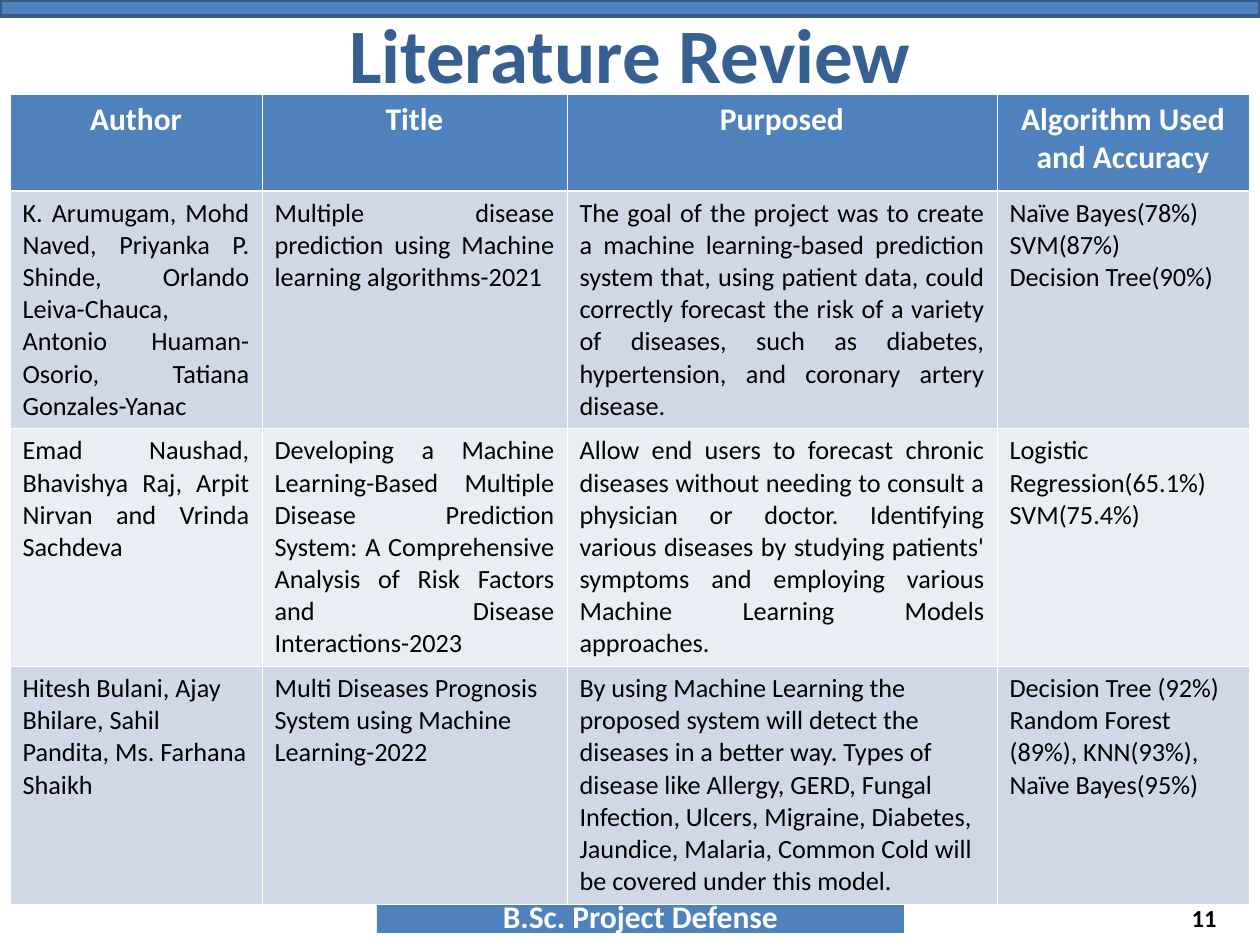
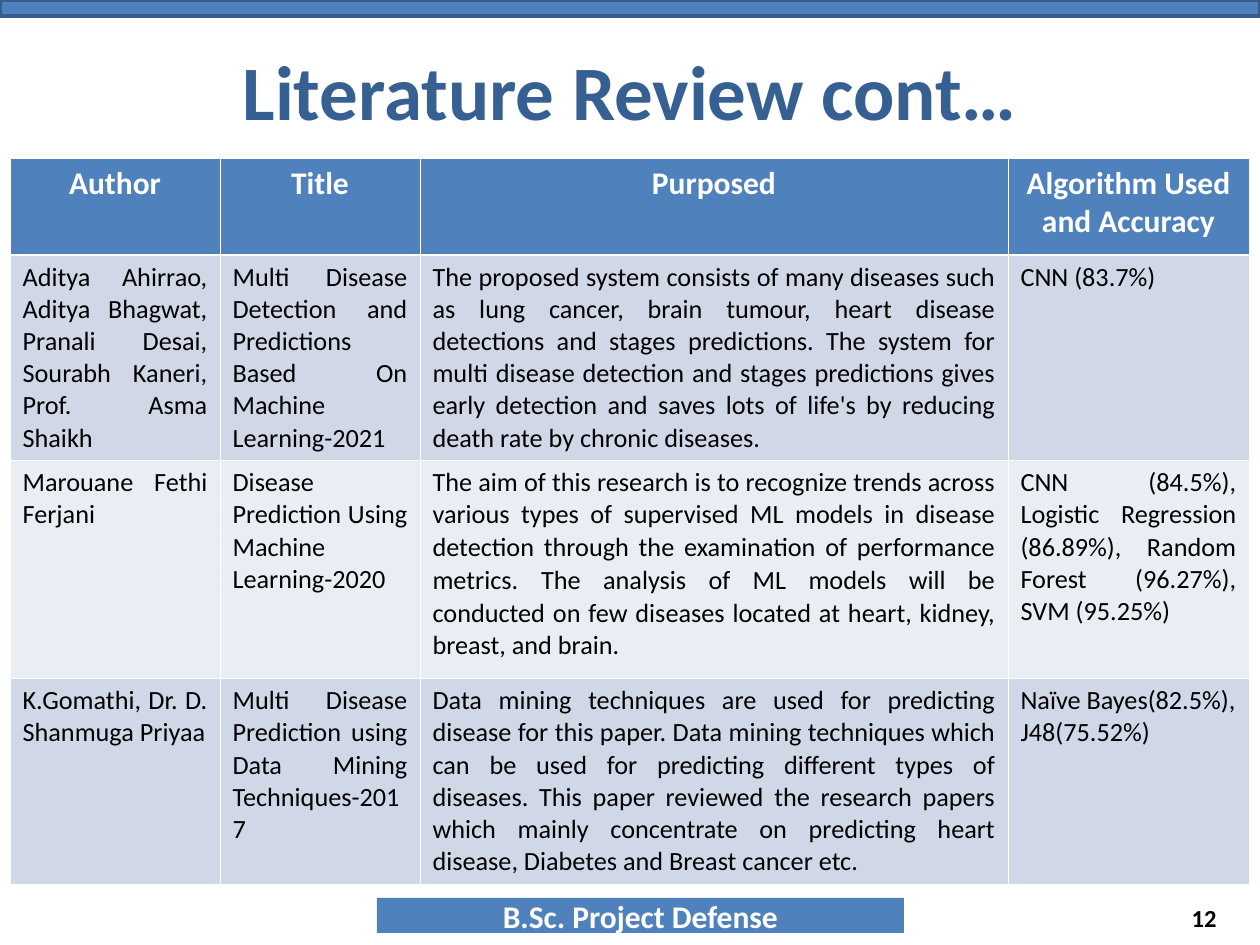
"""Build two literature review slides with shared bands, footers and tables."""
from lxml import etree
from pptx import Presentation
from pptx import util as u
from pptx.dml.color import RGBColor
from pptx.enum import shapes, text
from pptx.oxml.ns import qn

BLUE = RGBColor(0x4F, 0x81, 0xBD)
BAND_EDGE = RGBColor(0x38, 0x5D, 0x8A)
TITLE_BLUE = RGBColor(0x37, 0x60, 0x92)
WHITE = RGBColor(0xFF, 0xFF, 0xFF)
BLACK = RGBColor(0, 0, 0)
ROW_FILLS = [RGBColor(0xE9, 0xED, 0xF4), RGBColor(0xD0, 0xD8, 0xE8)]
LEFT, CENTER, RIGHT, JUSTIFY = (
    text.PP_ALIGN.LEFT, text.PP_ALIGN.CENTER, text.PP_ALIGN.RIGHT, text.PP_ALIGN.JUSTIFY)
FRAME = {"word_wrap": True, "auto_size": text.MSO_AUTO_SIZE.NONE,
         "vertical_anchor": text.MSO_ANCHOR.MIDDLE}
SCALE = u.Inches(1) / 126
TABLE_LEFT = 10
HEADINGS = ["Author", "Title", "Purposed", "Algorithm Used and Accuracy"]


def px(*lengths):
    """Turn pixel lengths into EMU."""
    return [u.Emu(round(length * SCALE)) for length in lengths]


def write(paragraph, words, size, color, bold, align):
    """Add one formatted run to a paragraph."""
    paragraph.alignment = align
    run = paragraph.add_run()
    run.text = words
    for key, value in {"name": "Calibri", "size": u.Pt(size), "bold": bold}.items():
        setattr(run.font, key, value)
    run.font.color.rgb = color


reviews = [
    {
        "title": "Literature Review", "number": "11", "title_box": (63, 13, 1134, 80),
        "top": 94, "columns": [252, 305, 430, 252], "rows": [97, 233, 233, 233],
        "left_cells": [(3, 0), (3, 1), (3, 2), (3, 3)],
        "papers": [
            ["K. Arumugam, Mohd Naved, Priyanka P. Shinde, Orlando Leiva-Chauca, "
             "Antonio Huaman-Osorio, Tatiana Gonzales-Yanac",
             "Multiple disease prediction using Machine learning algorithms-2021",
             "The goal of the project was to create a machine learning-based prediction "
             "system that, using patient data, could correctly forecast the risk of a "
             "variety of diseases, such as diabetes, hypertension, and coronary artery disease.",
             "Naïve Bayes(78%)\nSVM(87%)\nDecision Tree(90%)"],
            ["Emad Naushad, Bhavishya Raj, Arpit Nirvan and Vrinda Sachdeva",
             "Developing a Machine Learning-Based Multiple Disease Prediction System: "
             "A Comprehensive Analysis of Risk Factors and Disease Interactions-2023",
             "Allow end users to forecast chronic diseases without needing to consult a "
             "physician or doctor. Identifying various diseases by studying patients' "
             "symptoms and employing various Machine Learning Models approaches.",
             "Logistic Regression(65.1%)\nSVM(75.4%)"],
            ["Hitesh Bulani, Ajay Bhilare, Sahil Pandita, Ms. Farhana Shaikh",
             "Multi Diseases Prognosis System using Machine Learning-2022",
             "By using Machine Learning the proposed system will detect the diseases in a "
             "better way. Types of disease like Allergy, GERD, Fungal Infection, Ulcers, "
             "Migraine, Diabetes, Jaundice, Malaria, Common Cold will be covered under this model.",
             "Decision Tree (92%)\nRandom Forest (89%), KNN(93%), Naïve Bayes(95%)"],
        ],
    },
    {
        "title": "Literature Review cont…", "number": "12", "title_box": (63, 32, 1134, 115),
        "top": 158, "columns": [210, 200, 588, 241], "rows": [97, 202, 218, 202],
        "left_cells": [(3, 3)],
        "papers": [
            ["Aditya Ahirrao, Aditya Bhagwat, Pranali Desai, Sourabh Kaneri, Prof. Asma Shaikh",
             "Multi Disease Detection and Predictions Based On Machine Learning-2021",
             "The proposed system consists of many diseases such as lung cancer, brain tumour, "
             "heart disease detections and stages predictions. The system for multi disease "
             "detection and stages predictions gives early detection and saves lots of life's "
             "by reducing death rate by chronic diseases.",
             "CNN (83.7%)"],
            ["Marouane Fethi Ferjani",
             "Disease Prediction Using Machine Learning-2020",
             "The aim of this research is to recognize trends across various types of "
             "supervised ML models in disease detection through the examination of "
             "performance metrics.| |The analysis of ML models will be conducted on few "
             "diseases located at heart, kidney, breast, and brain.",
             "CNN (84.5%), Logistic Regression (86.89%), Random Forest (96.27%), SVM (95.25%)"],
            ["K.Gomathi, Dr. D. Shanmuga Priyaa",
             "Multi Disease Prediction using Data Mining Techniques-2017",
             "Data mining techniques are used for predicting disease for this paper. Data "
             "mining techniques which can be used for predicting different types of diseases. "
             "This paper reviewed the research papers which mainly concentrate on predicting "
             "heart disease, Diabetes and Breast cancer etc.",
             "Naïve Bayes(82.5%), J48(75.52%)"],
        ],
    },
]

deck = Presentation()
deck.slide_width, deck.slide_height = px(1260, 945)

for review in reviews:
    slide = deck.slides.add_slide(deck.slide_layouts[5])
    title = slide.shapes.title
    title.left, title.top, title.width, title.height = px(*review["title_box"])

    top_band = slide.shapes.add_shape(shapes.MSO_SHAPE.RECTANGLE, *px(0, 0, 1260, 16))
    footer = slide.shapes.add_shape(shapes.MSO_SHAPE.RECTANGLE, *px(377, 898, 527, 35))
    for band in (top_band, footer):
        band.shadow.inherit = False
        band.fill.solid()
        band.fill.fore_color.rgb = BLUE
    top_band.line.color.rgb = BAND_EDGE
    top_band.line.width = u.Pt(2)
    footer.line.fill.background()
    page_number = slide.shapes.add_textbox(*px(935, 893, 294, 50))

    for part, words, size, color, align in [
        (title, review["title"], 44, TITLE_BLUE, CENTER),
        (footer, "B.Sc. Project Defense", 18, WHITE, CENTER),
        (page_number, review["number"], 14, BLACK, RIGHT),
    ]:
        for key, value in FRAME.items():
            setattr(part.text_frame, key, value)
        write(part.text_frame.paragraphs[0], words, size, color, True, align)

    columns, rows = review["columns"], review["rows"]
    table = slide.shapes.add_table(
        len(rows), len(columns),
        *px(TABLE_LEFT, review["top"], sum(columns), sum(rows))).table
    for column, width in zip(table.columns, px(*columns)):
        column.width = width
    for row, height in zip(table.rows, px(*rows)):
        row.height = height

    for r, entries in enumerate([HEADINGS] + review["papers"]):
        for c, entry in enumerate(entries):
            cell = table.cell(r, c)
            properties = cell._tc.get_or_add_tcPr()
            for side in "LRTB":
                thick = (r, side) in [(0, "B"), (1, "T")]
                border = etree.SubElement(properties, qn(f"a:ln{side}"),
                                          w=str(u.Pt(1.47 if thick else 0.45)))
                border_fill = etree.SubElement(border, qn("a:solidFill"))
                etree.SubElement(border_fill, qn("a:srgbClr"), val=str(WHITE))
            cell.fill.solid()
            cell.fill.fore_color.rgb = ROW_FILLS[r % 2] if r else BLUE

            if r == 0:
                write(cell.text_frame.paragraphs[0], entry, 18, WHITE, True, CENTER)
                continue
            align = LEFT if (r, c) in review["left_cells"] else JUSTIFY
            for i, line in enumerate(entry.split("\n")):
                frame = cell.text_frame
                paragraph = frame.add_paragraph() if i else frame.paragraphs[0]
                for words in line.split("|"):
                    write(paragraph, words, 16 if words == " " else 15, BLACK, False, align)

deck.save("out.pptx")
